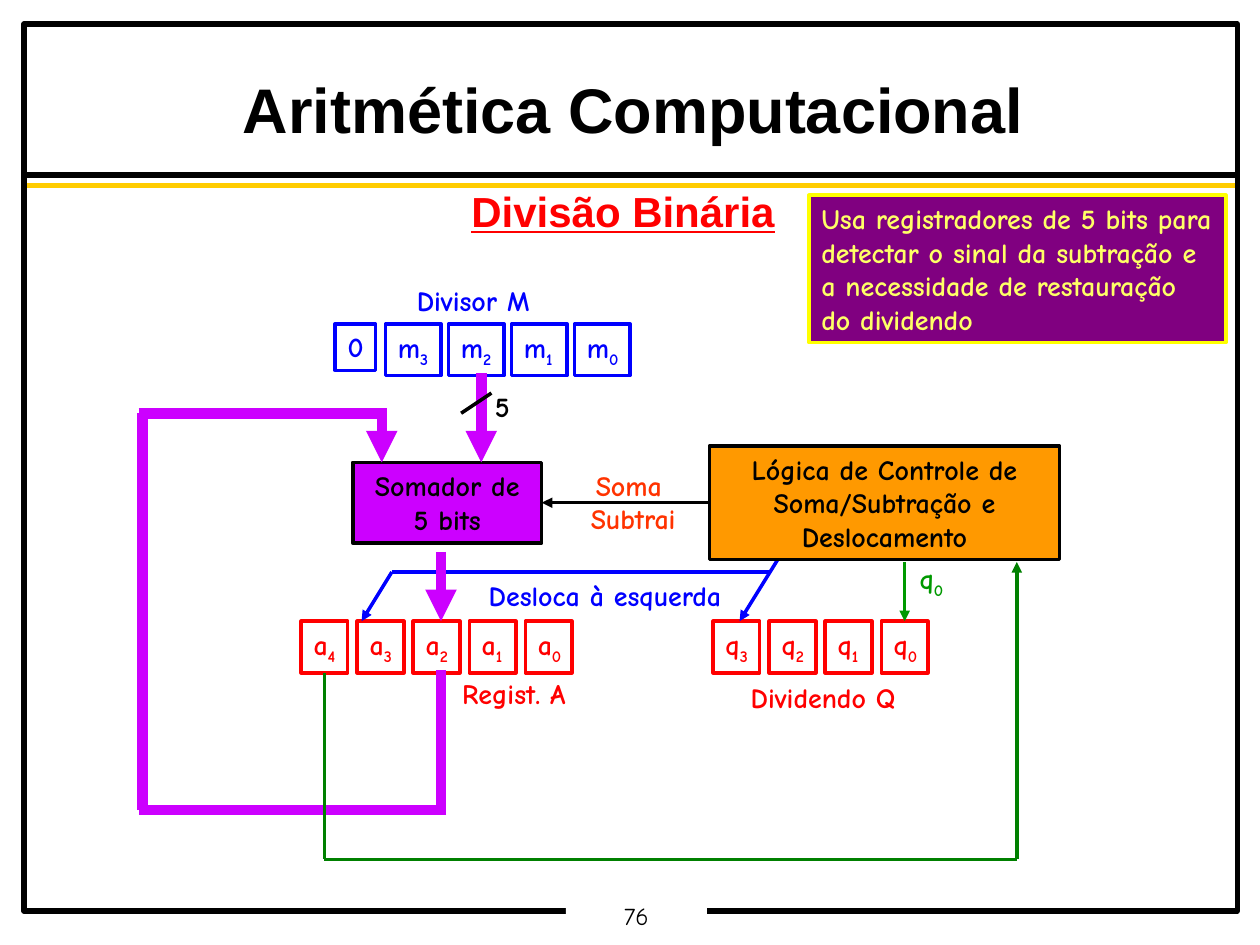
from itertools import pairwise
from lxml import etree
from pptx import Presentation
from pptx import util as u
from pptx.dml.color import RGBColor
from pptx.enum import shapes, text
from pptx.oxml import ns

BLACK = RGBColor(0x00, 0x00, 0x00)
WHITE = RGBColor(0xFF, 0xFF, 0xFF)
GOLD = RGBColor(0xFF, 0xCC, 0x00)
RED = RGBColor(0xFF, 0x00, 0x00)
BLUE = RGBColor(0x00, 0x00, 0xFF)
VIOLET = RGBColor(0xCC, 0x00, 0xFF)
ORANGE = RGBColor(0xFF, 0x99, 0x00)
CORAL = RGBColor(0xFF, 0x33, 0x00)
GREEN = RGBColor(0x00, 0x99, 0x00)
FOREST = RGBColor(0x00, 0x80, 0x00)
PURPLE = RGBColor(0x80, 0x00, 0x80)
YELLOW = RGBColor(0xFF, 0xFF, 0x00)
CREAM = RGBColor(0xFF, 0xFF, 0x66)

LEFT, MID = text.PP_ALIGN.LEFT, text.PP_ALIGN.CENTER
COMIC = {"name": "Comic Neue", "size": u.Pt(16), "bold": True}
ARIAL = {"name": "Arial", "size": u.Pt(24), "bold": True}

deck = Presentation()
deck.slide_width, deck.slide_height = u.Inches(10), u.Inches(7.5)
COL, ROW = deck.slide_width / 100, deck.slide_height / 75
slide = deck.slides.add_slide(deck.slide_layouts[5])
parts = slide.shapes


def box(place, words="", ink=BLACK, fill=None, edge=None, width=2, sub="",
        align=LEFT, wrap=False, font=COMIC, space=1.0):
    x, y, w, h = place
    area = (int(x * COL), int(y * ROW), int(w * COL), int(h * ROW))
    if fill is None and edge is None:
        shape = parts.add_textbox(*area)
    else:
        shape = parts.add_shape(shapes.MSO_SHAPE.RECTANGLE, *area)
        shape.shadow.inherit = False
        if fill is None:
            shape.fill.background()
        else:
            shape.fill.solid()
            shape.fill.fore_color.rgb = fill
        if edge is None:
            shape.line.fill.background()
        else:
            shape.line.color.rgb = edge
            shape.line.width = u.Pt(width)
    if words:
        frame = shape.text_frame
        look = {"word_wrap": wrap, "vertical_anchor": text.MSO_ANCHOR.TOP,
                "auto_size": text.MSO_AUTO_SIZE.NONE}
        for key, val in look.items():
            setattr(frame, key, val)
        para = frame.paragraphs[0]
        para.alignment, para.line_spacing = align, space
        for part in filter(None, (words, sub)):
            run = para.add_run()
            run.text = part
            for key, val in font.items():
                setattr(run.font, key, val)
            run.font.color.rgb = ink
        if sub:
            run._r.get_or_add_rPr().set("baseline", "-25000")
    return shape


def wire(start, end, ink, width=2, head=False):
    line = parts.add_connector(
        shapes.MSO_CONNECTOR.STRAIGHT,
        int(start[0] * COL), int(start[1] * ROW),
        int(end[0] * COL), int(end[1] * ROW))
    line.line.color.rgb = ink
    line.line.width = u.Pt(width)
    if head:
        tip = etree.SubElement(line.line._get_or_add_ln(), ns.qn("a:tailEnd"))
        tip.set("type", "triangle")
    etree.SubElement(line._element.spPr, ns.qn("a:effectLst"))
    return line


wire((2, 13.9), (98.4, 13.9), BLACK, 3)
wire((2, 14.7), (98.4, 14.7), GOLD, 3)
box((1.9, 1.9, 96.3, 70.4), edge=BLACK, width=3)
box((44.9, 71.3, 11.2, 2.7), "76", fill=WHITE, align=MID, space=0.9,
    font={"name": "Comic Neue", "size": u.Pt(14), "bold": False})

title = parts.title
spot = {"left": 2, "top": 5.7, "width": 96.5, "height": 6.3}
for key, val in spot.items():
    setattr(title, key, int(val * COL))
title.text_frame.text = "Aritmética Computacional"
title.text_frame.vertical_anchor = text.MSO_ANCHOR.MIDDLE
head = title.text_frame.paragraphs[0]
head.alignment, head.line_spacing = MID, 0.95
for key, val in {**ARIAL, "size": u.Pt(36)}.items():
    setattr(head.font, key, val)
head.font.color.rgb = BLACK

box((4.3, 14.7, 90.3, 5), "Divisão Binária", RED, align=MID, wrap=True,
    font={**ARIAL, "underline": True}, space=0.9)

cells = {}
banks = [("m", 4, 30.6, 25.7, 5, 4.4, BLUE),
         ("a", 5, 23.9, 49.3, 4.45, 3.7, RED),
         ("q", 4, 56.6, 49.3, 4.45, 3.7, RED)]
for name, count, x, y, step, wide, ink in banks:
    for i in range(count):
        bit = str(count - 1 - i)
        cells[name + bit] = box((x + i * step, y, wide, 4.1), name, ink,
                                edge=ink, sub=bit)
box((26.6, 25.7, 3.2, 3.7), "0", BLUE, edge=BLUE)

wire((62.6, 43), (58.7, 49.3), BLUE, head=True)
wire((31.1, 45.4), (28.7, 49.3), BLUE, head=True)
wire((31.1, 45.4), (61, 45.4), BLUE)

adder = box((28, 36.7, 15, 6.4), "Somador de 5 bits", fill=VIOLET,
            edge=BLACK, align=MID, wrap=True)
logic = box((56.3, 35.4, 27.8, 9), fill=ORANGE, edge=BLACK, align=MID,
            words="Lógica de Controle de Soma/Subtração e Deslocamento",
            wrap=True)
box((64.2, 15.5, 33.1, 11.7), fill=PURPLE, edge=YELLOW, ink=CREAM, wrap=True,
    words="Usa registradores de 5 bits para detectar o sinal da subtração "
          "e a necessidade de restauração do dividendo")

flows = [((38.2, 29.6), (38.2, 36.7), True),
         ((35, 43.8), (35, 49.3), True),
         ((35, 53.2), (35, 64.3), False),
         ((35.4, 64.3), (11, 64.3), False),
         ((11.3, 64.3), (11.3, 32.8), False),
         ((11, 32.8), (30.7, 32.8), False),
         ((30.3, 32.8), (30.3, 36.7), True)]
for start, end, tip in flows:
    wire(start, end, VIOLET, 6, tip)
wire((36.6, 32.8), (39, 31.2), BLACK)

mode = wire((56.3, 39.9), (43, 39.9), BLACK, head=True)
mode.begin_connect(logic, 1)
mode.end_connect(adder, 3)
load = wire((71.8, 44.6), (71.8, 49.3), GREEN, head=True)
load.end_connect(cells["q0"], 0)

route = [(25.75, 53.4), (25.75, 68.2), (80.7, 68.2), (80.7, 44.6)]
sign = [wire(start, end, FOREST, head=end == route[-1])
        for start, end in pairwise(route)]
sign[0].begin_connect(cells["a4"], 2)

labels = [("Divisor M", 32.1, 22, 10.9, BLUE),
          ("Dividendo Q", 58.6, 53.5, 13.5, RED),
          ("Regist. A", 35.7, 53.2, 10.2, RED),
          ("5", 38.3, 30.4, 3.2, BLACK),
          ("Soma", 46.3, 36.7, 7.2, CORAL),
          ("Subtrai", 45.9, 39.3, 8.8, CORAL),
          ("Desloca à esquerda", 37.8, 45.4, 20.5, BLUE)]
for words, x, y, wide, ink in labels:
    box((x, y, wide, 3.7), words, ink)
box((72, 44.1, 3.8, 4.1), "q", GREEN, sub="0")

deck.save("out.pptx")
